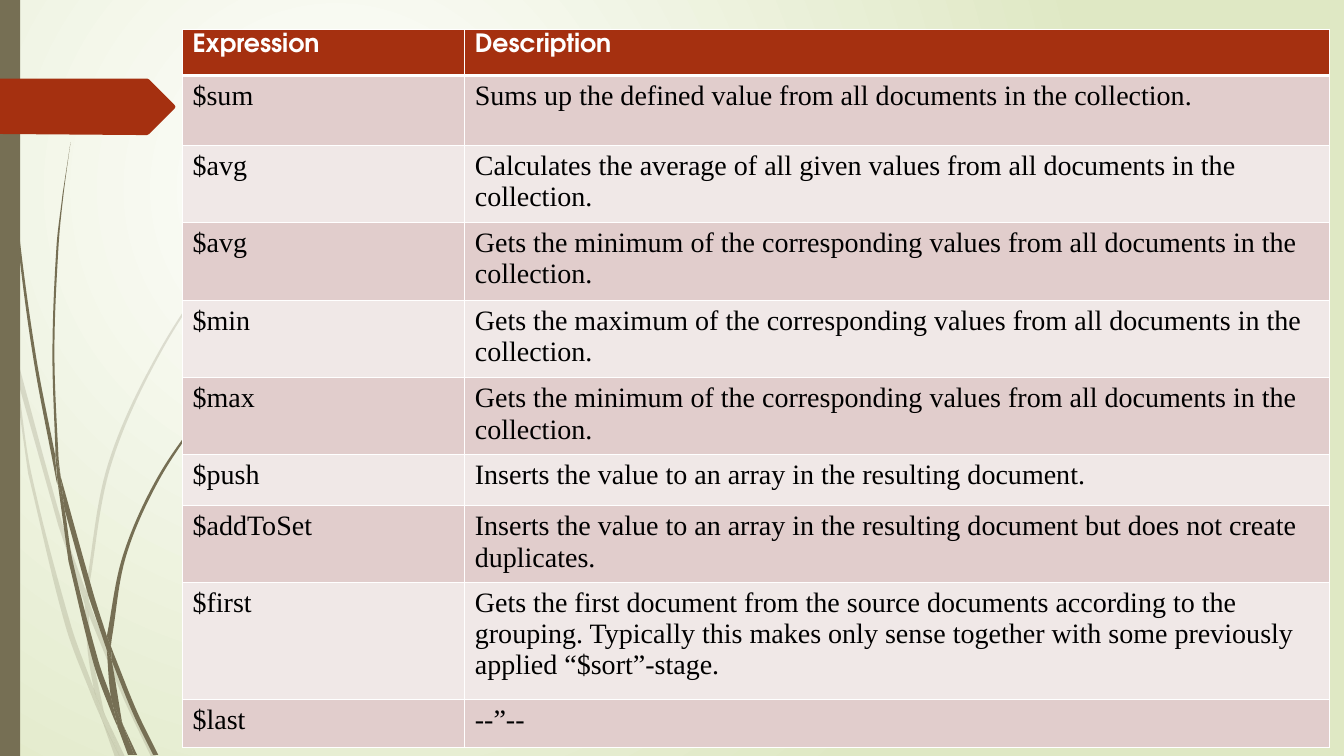
from math import dist

from lxml.etree import SubElement
from pptx import Presentation
from pptx.dml.color import RGBColor
from pptx.enum.shapes import MSO_SHAPE
from pptx.oxml.ns import qn
from pptx.util import Inches, Pt

WHITE = RGBColor(0xFF, 0xFF, 0xFF)
BLACK = RGBColor(0x00, 0x00, 0x00)
PALE_GREEN = RGBColor(0xDF, 0xE8, 0xC4)
OLIVE = RGBColor(0x76, 0x6F, 0x54)
RUST = RGBColor(0xA5, 0x30, 0x10)
ROSE = RGBColor(0xE1, 0xCD, 0xCC)
LIGHT_ROSE = RGBColor(0xF0, 0xE8, 0xE7)


def draw_outline(page, edges):
    """Draw a closed freeform; an edge of three or more points becomes a smooth curve."""
    points = [tuple(Inches(value) for value in point) for edge in edges for point in edge]
    builder = page.shapes.build_freeform(*points[0], scale=1.0)
    builder.add_line_segments(points[1:], close=True)
    shape = builder.convert_to_shape()
    lines = list(shape._element.iter(qn("a:lnTo")))
    first = 0
    for edge in edges:
        last = first + len(edge) - 1
        for i in range(first, last if len(edge) > 2 else first):
            chord = dist(points[i], points[i + 1])
            controls = []
            for knot, sign in ((i, 1), (i + 1, -1)):
                before, after = points[max(knot - 1, first)], points[min(knot + 1, last)]
                reach = sign * chord / 3 / dist(before, after)
                controls.append([round(p + (b - a) * reach)
                                 for p, a, b in zip(points[knot], before, after)])
            line = lines[i]
            line.tag = qn("a:cubicBezTo")
            for place, (x, y) in enumerate(controls):
                control = SubElement(line, qn("a:pt"), x=str(x - shape.left), y=str(y - shape.top))
                line.insert(place, control)
        first = last + 1
    return shape


def write_cell(cell, text, font, size, color, fill, bold=False, top=1, bottom=1):
    """Fill a table cell with formatted text, white borders and a colour."""
    span = cell.text_frame.paragraphs[0].add_run()
    span.text = text
    span.font.name, span.font.size, span.font.bold = font, Pt(size), bold
    span.font.color.rgb = color
    properties = cell._tc.get_or_add_tcPr()
    for side, width in (("L", 1), ("R", 1), ("T", top), ("B", bottom)):
        border = SubElement(properties, qn(f"a:ln{side}"), w=str(Pt(width)))
        SubElement(SubElement(border, qn("a:solidFill")), qn("a:srgbClr"), val=str(WHITE))
    cell.fill.solid()
    cell.fill.fore_color.rgb = fill


deck = Presentation()
deck.slide_width, deck.slide_height = Inches(13.33), Inches(7.5)
page = deck.slides.add_slide(deck.slide_layouts[6])

# Radial background
background = page.background.fill
background.gradient()
for stop, color in zip(background.gradient_stops, (WHITE, PALE_GREEN)):
    stop.color.rgb = color
gradient = page.background._cSld.find(".//" + qn("a:gradFill"))
gradient.remove(gradient.find(qn("a:lin")))
radial = SubElement(gradient, qn("a:path"), path="circle")
SubElement(radial, qn("a:fillToRect"), l="50000", t="50000", r="100000", b="100000")

# Grass blades, piece by piece: one edge and then the way back
pale_blades = [
    [[(0.11, 3.5), (0.09, 3.22), (0, 2.82)], [(0, 2.99), (0.1, 3.44)]],
    [[(0.58, 5.22), (0.84, 5.99)], [(0.85, 5.86), (0.62, 5.2), (0.14, 3.45)],
     [(0.17, 3.76), (0.58, 5.22)]],
    [[(0.92, 6.07), (0.88, 5.96)], [(0.88, 6.1), (1.23, 6.94), (1.5, 7.51)],
     [(1.55, 7.51), (1.27, 6.92), (0.92, 6.07)]],
    [[(1.19, 7.51), (1.24, 7.51)], [(1.05, 7.11)]],
    [[(0.93, 6.83), (0.7, 6.19), (0.31, 4.69), (0.17, 3.76), (0.11, 3.5)],
     [(0.28, 4.7), (0.65, 6.21), (0.92, 6.93), (1.01, 7.14)], [(0.99, 7.07)]],
    [[(0.84, 5.99), (0.87, 6.46), (0.93, 6.83), (0.96, 6.92), (1.05, 7.11)],
     [(1.03, 7.06), (0.91, 6.46), (0.88, 6.1), (0.88, 6.08)]],
    [[(0.88, 5.84), (1.1, 4.62), (1.6, 3.49), (2.29, 2.45), (2.68, 1.98), (2.9, 1.75),
      (3.12, 1.54)],
     [(3.12, 1.53), (2.89, 1.75), (2.68, 1.97), (2.28, 2.44), (1.58, 3.48), (1.07, 4.61),
      (0.85, 5.84)], [(0.85, 5.86), (0.88, 5.96)]],
    [[(1.01, 7.14), (1.14, 7.51)], [(1.19, 7.51)]],
    [[(0.88, 6.08), (0.88, 6.1)], [(0.88, 5.96), (0.85, 5.86)], [(0.84, 5.99)]],
    [[(0.96, 6.92), (0.93, 6.83)], [(0.99, 7.07), (1.01, 7.14), (1.19, 7.51)],
     [(1.05, 7.11)]],
]
dark_blades = [
    [[(0.07, 1.1), (0.17, 2.33), (0.33, 3.55), (0.56, 4.77)], [(0.57, 4.81), (0.55, 4.57)],
     [(0.55, 4.53), (0.36, 3.55), (0.19, 2.32), (0.08, 1.09), (0.05, 0.48), (0.04, 0)],
     [(0.03, 0), (0.04, 0.48), (0.07, 1.1)]],
    [[(0.88, 5.92), (1.06, 6.45)], [(1.06, 6.33)],
     [(1.06, 6.31), (0.93, 5.9), (0.6, 4.72)], [(0.64, 5.05), (0.88, 5.92)]],
    [[(1.13, 6.49), (1.1, 6.41)], [(1.11, 6.56), (1.32, 7.08), (1.52, 7.49)],
     [(1.57, 7.49), (1.36, 7.06), (1.13, 6.49)]],
    [[(1.1, 6.91), (0.98, 6.57), (0.72, 5.56), (0.64, 5.05), (0.57, 4.77)],
     [(0.68, 5.57), (0.93, 6.59), (1.11, 7.08), (1.17, 7.22)], [(1.16, 7.17)]],
    [[(0.6, 4.72), (0.58, 4.53), (0.54, 3.49), (0.58, 2.45), (0.63, 1.93), (0.7, 1.41)],
     [(0.62, 1.93), (0.56, 2.45), (0.52, 3.49), (0.55, 4.49)]],
    [[(1.33, 7.49), (1.36, 7.49)], [(1.22, 7.19)]],
    [[(0.57, 4.77), (0.64, 5.05)], [(0.6, 4.72)], [(0.55, 4.49), (0.55, 4.53)]],
    [[(1.11, 6.33), (1.25, 5.52), (1.58, 4.76), (2.05, 4.06), (2.31, 3.74), (2.45, 3.59),
      (2.6, 3.44)],
     [(2.45, 3.58), (2.31, 3.73), (2.04, 4.05), (1.56, 4.74), (1.22, 5.51), (1.06, 6.31)],
     [(1.1, 6.41)]],
    [[(1.17, 7.22), (1.27, 7.49)], [(1.31, 7.49)]],
    [[(1.06, 6.45), (1.1, 6.91), (1.16, 7.06), (1.22, 7.19)],
     [(1.21, 7.16), (1.11, 6.56), (1.09, 6.51)]],
    [[(1.06, 6.45), (1.09, 6.51), (1.11, 6.56)], [(1.1, 6.41), (1.06, 6.31)],
     [(1.06, 6.33)]],
    [[(1.16, 7.06), (1.1, 6.91)], [(1.16, 7.17), (1.17, 7.22), (1.3, 7.49)],
     [(1.33, 7.49), (1.22, 7.19)]],
]
arrow_tab = [[(1.73, 1.08), (1.48, 1.33)], [(1.46, 1.34), (1.36, 1.34)],
             [(0, 1.33), (0, 0.78)], [(1.36, 0.78), (1.46, 0.78)],
             [(1.48, 0.79), (1.73, 1.04)], [(1.74, 1.06)]]

decorations = [(draw_outline(page, edges), OLIVE, 20) for edges in pale_blades]
decorations += [(draw_outline(page, edges), OLIVE, 100) for edges in dark_blades]
side_bar = page.shapes.add_shape(MSO_SHAPE.RECTANGLE, 0, 0, Inches(0.2), Inches(7.5))
decorations += [(side_bar, OLIVE, 100), (draw_outline(page, arrow_tab), RUST, 100)]

for shape, color, opacity in decorations:
    shape.shadow.inherit = False
    shape.line.fill.background()
    shape.fill.solid()
    shape.fill.fore_color.rgb = color
    if opacity < 100:
        fill_color = shape._element.spPr.find(qn("a:solidFill")).find(qn("a:srgbClr"))
        SubElement(fill_color, qn("a:alpha"), val=str(opacity * 1000))

# Table of aggregation expressions: row height, expression, description
extreme = "Gets the {} of the corresponding values from all documents in the collection."
rows = [
    (0.46, "Expression", "Description"),
    (0.69, "$sum", "Sums up the defined value from all documents in the collection."),
    (0.77, "$avg", "Calculates the average of all given values from all documents in the "
                   "collection."),
    (0.77, "$avg", extreme.format("minimum")),
    (0.77, "$min", extreme.format("maximum")),
    (0.76, "$max", extreme.format("minimum")),
    (0.51, "$push", "Inserts the value to an array in the resulting document."),
    (0.76, "$addToSet", "Inserts the value to an array in the resulting document but does "
                        "not create duplicates."),
    (1.16, "$first", "Gets the first document from the source documents according to the "
                     "grouping. Typically this makes only sense together with some "
                     "previously applied “$sort”-stage."),
    (0.48, "$last", "--”--"),
]
table = page.shapes.add_table(
    len(rows), 2, Inches(1.81), Inches(0.29), Inches(11.38), Inches(7.12)).table
for column, width in zip(table.columns, (2.8, 8.58)):
    column.width = Inches(width)
for index, (height, *texts) in enumerate(rows):
    table.rows[index].height = Inches(height)
    for cell, text in zip(table.rows[index].cells, texts):
        if index == 0:
            write_cell(cell, text, "TeX Gyre Adventor", 18, WHITE, RUST, bold=True, bottom=3)
        else:
            write_cell(cell, text, "Times New Roman", 20, BLACK,
                       ROSE if index % 2 else LIGHT_ROSE, top=3 if index == 1 else 1)

deck.save("out.pptx")
